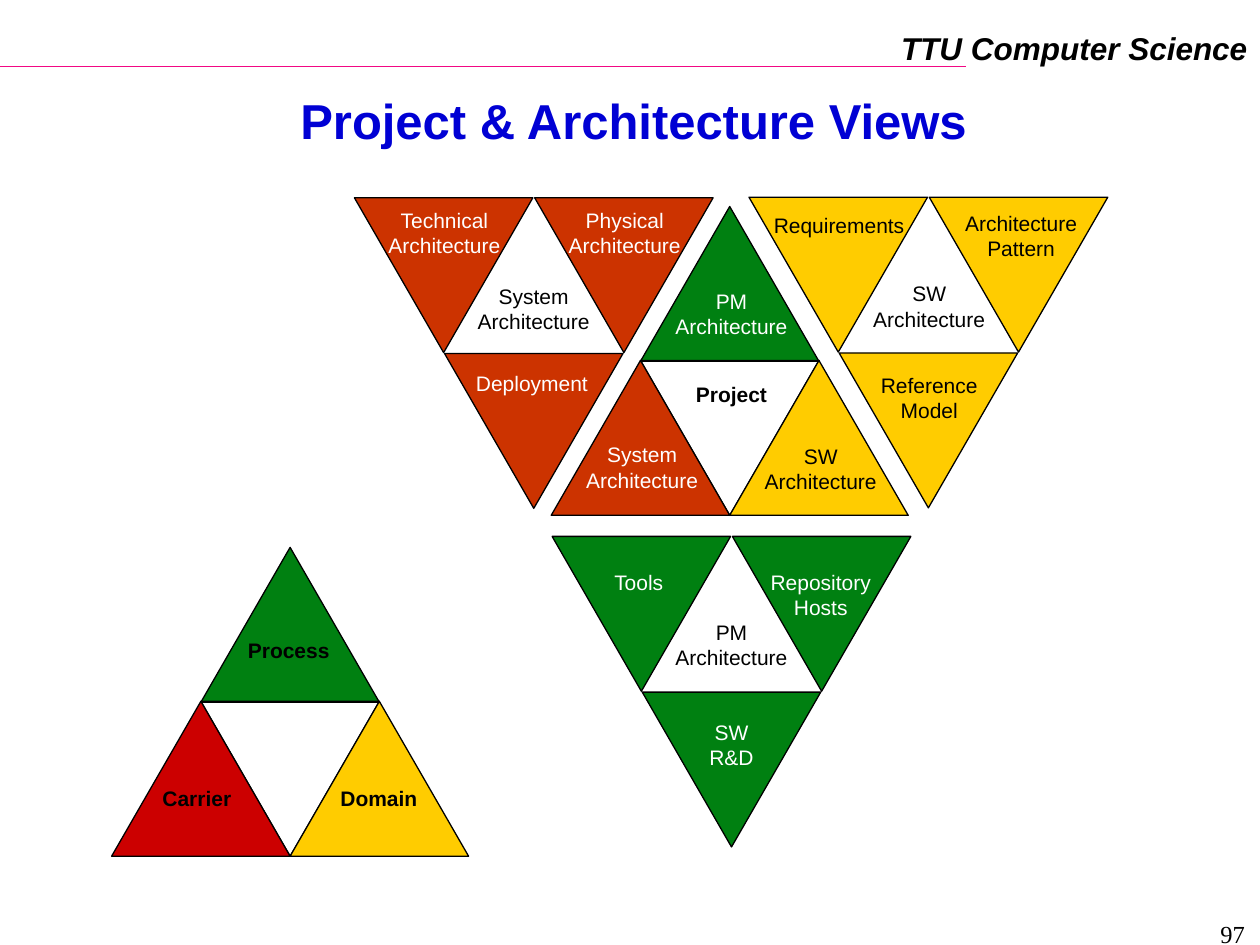
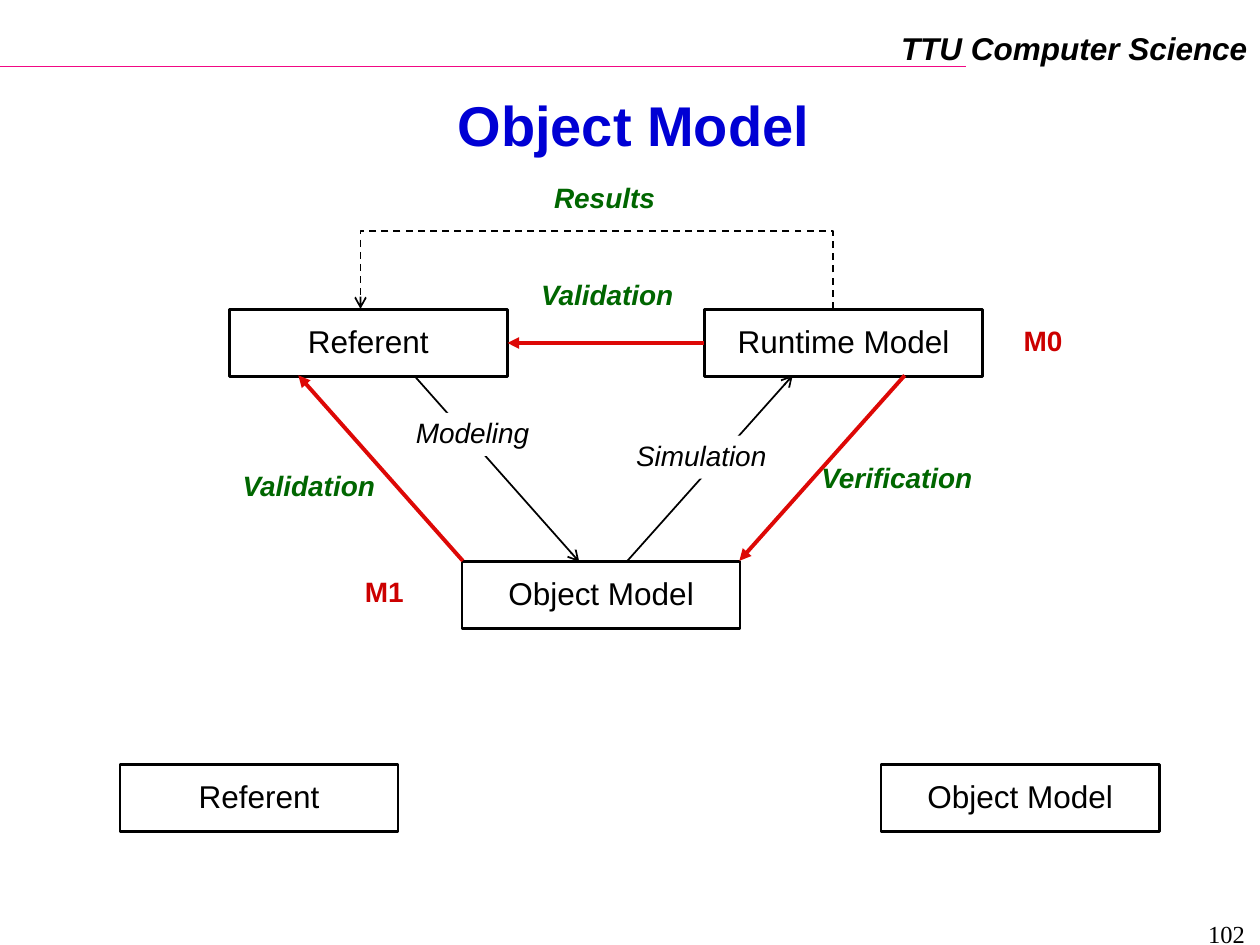
"""Build the two architecture and object model slides."""
from lxml import etree
from pptx import Presentation
from pptx.dml.color import RGBColor
from pptx.enum import dml, shapes, text
from pptx.oxml.ns import qn
from pptx.util import Pt

C = {"black": "000000", "white": "FFFFFF", "pink": "F20884", "title": "0000D4",
     "green": "008011", "rust": "CC3300", "yellow": "FFCC00", "red": "CC0000",
     "arrow": "DD0806", "label": "006600"}
CENTER, RIGHT = text.PP_ALIGN.CENTER, text.PP_ALIGN.RIGHT


def write(sp, txt, size=12, color="black", bold=False, italic=False, font="Arial",
          align=CENTER, anchor=text.MSO_ANCHOR.TOP, spacing=None, wrap=False):
    tf = sp.text_frame
    tf.text = txt
    tf.word_wrap = wrap
    tf.auto_size = text.MSO_AUTO_SIZE.NONE
    tf.vertical_anchor = anchor
    for p in tf.paragraphs:
        p.alignment = align
        p.line_spacing = spacing
        for r in p.runs:
            r.font.name, r.font.size = font, Pt(size)
            r.font.bold, r.font.italic = bold, italic
            r.font.color.rgb = RGBColor.from_string(C[color])


def stroke(sp, color, width, end=None):
    sp.line.color.rgb = RGBColor.from_string(C[color])
    sp.line.width = Pt(width)
    pr = sp._element.spPr
    if end:
        etree.SubElement(pr.find(qn("a:ln")), qn("a:tailEnd"), type=end)
    etree.SubElement(pr, qn("a:effectLst"))


prs = Presentation()
prs.slide_width, prs.slide_height = Pt(720), Pt(540)
layout = prs.slide_layouts[5]

slides = []
for title, size, top, number in [("Project & Architecture Views", 28, 51, "97"),
                                 ("Object Model", 32, 54, "102")]:
    s = prs.slides.add_slide(layout)
    sp = s.shapes.title
    sp.left, sp.top, sp.width, sp.height = Pt(38), Pt(top), Pt(648), Pt(39.6)
    write(sp, title, size=size, color="title", bold=True, spacing=0.87,
          anchor=text.MSO_ANCHOR.MIDDLE, wrap=True)
    sp = s.shapes.add_textbox(Pt(551), Pt(521.5), Pt(167.5), Pt(16))
    write(sp, number, size=14, font="Times New Roman", align=RIGHT, wrap=True)
    slides.append(s)
views, model = slides

rule = views.shapes.add_connector(shapes.MSO_CONNECTOR.STRAIGHT, 0, Pt(38), Pt(552), Pt(38))
stroke(rule, "pink", 1)
header = views.shapes.add_textbox(Pt(507.5), Pt(13), Pt(212.5), Pt(29))
write(header, "TTU Computer Science", size=18, bold=True, italic=True, align=RIGHT)
for sp in (rule, header):
    layout.shapes._spTree.append(sp._element)

UP = [(51, 0, 0), (51, 88, 180), (0, 88, 0), (102, 88, 0)]
DOWN = [(0, 0, 180), (103, 0, 180), (51.5, 89, 180)]
clusters = [
    (315, 118, UP, ["green", None, "rust", "yellow"]),
    (315.5, 306.5, DOWN, ["green"] * 3),
    (202.5, 113, DOWN, ["rust"] * 3),
    (428, 112.7, DOWN, ["yellow"] * 3),
    (63.8, 312.8, UP, ["green", None, "red", "yellow"]),
]
for x, y, pattern, fills in clusters:
    for (dx, dy, turn), fill in zip(pattern, fills):
        sp = views.shapes.add_shape(shapes.MSO_SHAPE.ISOSCELES_TRIANGLE,
                                    Pt(x + dx), Pt(y + dy), Pt(102), Pt(88.5))
        sp.rotation = turn
        if fill:
            sp.fill.solid()
            sp.fill.fore_color.rgb = RGBColor.from_string(C[fill])
        else:
            sp.fill.background()
        stroke(sp, "black", 0.75)

view_labels = [
    ("System\nArchitecture", 367, 249, "white", False),
    ("PM\nArchitecture", 418, 161.5, "white", False),
    ("SW\nArchitecture", 469, 250, "black", False),
    ("Project", 418, 214.5, "black", True),
    ("Tools", 365, 322, "white", False),
    ("Repository\nHosts", 469, 322, "white", False),
    ("SW\nR&D", 418, 407.5, "white", False),
    ("PM\nArchitecture", 418, 350.5, "black", False),
    ("Deployment", 304, 208, "white", False),
    ("System\nArchitecture", 305, 158.5, "black", False),
    ("Technical\nArchitecture", 254, 115, "white", False),
    ("Physical\nArchitecture", 357, 115, "white", False),
    ("SW\nArchitecture", 531, 157, "black", False),
    ("Reference\nModel", 531, 209.5, "black", False),
    ("Requirements", 479.5, 118, "black", False),
    ("Architecture\nPattern", 583.5, 116.5, "black", False),
    ("Domain", 216.5, 445.5, "black", True),
    ("Process", 165, 360.5, "black", True),
    ("Carrier", 112.5, 445.5, "black", True),
]
for txt, cx, top, color, bold in view_labels:
    lines = txt.count("\n") + 1
    sp = views.shapes.add_textbox(Pt(cx - 45), Pt(top), Pt(90), Pt(7.2 + 14.4 * lines))
    write(sp, txt, color=color, bold=bold)

boxes = []
for txt, x, y in [("Referent", 131, 177), ("Runtime Model", 402.5, 177),
                  ("Object Model", 264, 321), ("Referent", 68.5, 437),
                  ("Object Model", 503.5, 437)]:
    sp = model.shapes.add_shape(shapes.MSO_SHAPE.RECTANGLE, Pt(x), Pt(y), Pt(159), Pt(38))
    sp.fill.background()
    stroke(sp, "black", 1.5)
    write(sp, txt, size=18, spacing=0.9, anchor=text.MSO_ANCHOR.MIDDLE)
    boxes.append(sp)
referent, runtime = boxes[:2]

for x1, y1, x2, y2, color, width, end in [
        (264.5, 320.5, 170.5, 214.5, "arrow", 2.25, "triangle"),
        (237, 215, 331, 321, "black", 1, "arrow"),
        (517, 214.5, 422.5, 320.5, "arrow", 2.25, "triangle"),
        (358.5, 320.5, 453, 214.5, "black", 1, "arrow")]:
    sp = model.shapes.add_connector(shapes.MSO_CONNECTOR.STRAIGHT,
                                    Pt(x1), Pt(y1), Pt(x2), Pt(y2))
    stroke(sp, color, width, end)

sp = model.shapes.add_connector(shapes.MSO_CONNECTOR.STRAIGHT, 0, 0, 0, 0)
sp.begin_connect(runtime, 1)
sp.end_connect(referent, 3)
stroke(sp, "arrow", 2.25, "triangle")

ff = model.shapes.build_freeform(Pt(476), Pt(176.5))
ff.add_line_segments([(Pt(476), Pt(132)), (Pt(206), Pt(132)), (Pt(206), Pt(176.5))],
                     close=False)
results = ff.convert_to_shape()
results.fill.background()
results.line.dash_style = dml.MSO_LINE.DASH
stroke(results, "black", 1, "arrow")

GREEN = {"color": "label", "bold": True, "italic": True}
LEVEL = {"color": "red", "bold": True}
for txt, x, y, w, style in [
        ("Validation", 131, 266.5, 91, GREEN),
        ("Verification", 462, 262, 101, GREEN),
        ("Validation", 301.5, 157, 91, GREEN),
        ("Results", 309.5, 102, 72, GREEN),
        ("Modeling", 230.5, 236, 79, {"italic": True}),
        ("Simulation", 356.5, 249, 88.5, {"italic": True}),
        ("M1", 189.5, 327, 60, LEVEL),
        ("M0", 566, 183.5, 60, LEVEL)]:
    sp = model.shapes.add_textbox(Pt(x), Pt(y), Pt(w), Pt(24.5))
    if txt in ("Modeling", "Simulation"):
        sp.fill.solid()
        sp.fill.fore_color.rgb = RGBColor.from_string(C["white"])
    write(sp, txt, size=16, spacing=0.9, **style)

prs.save("out.pptx")
